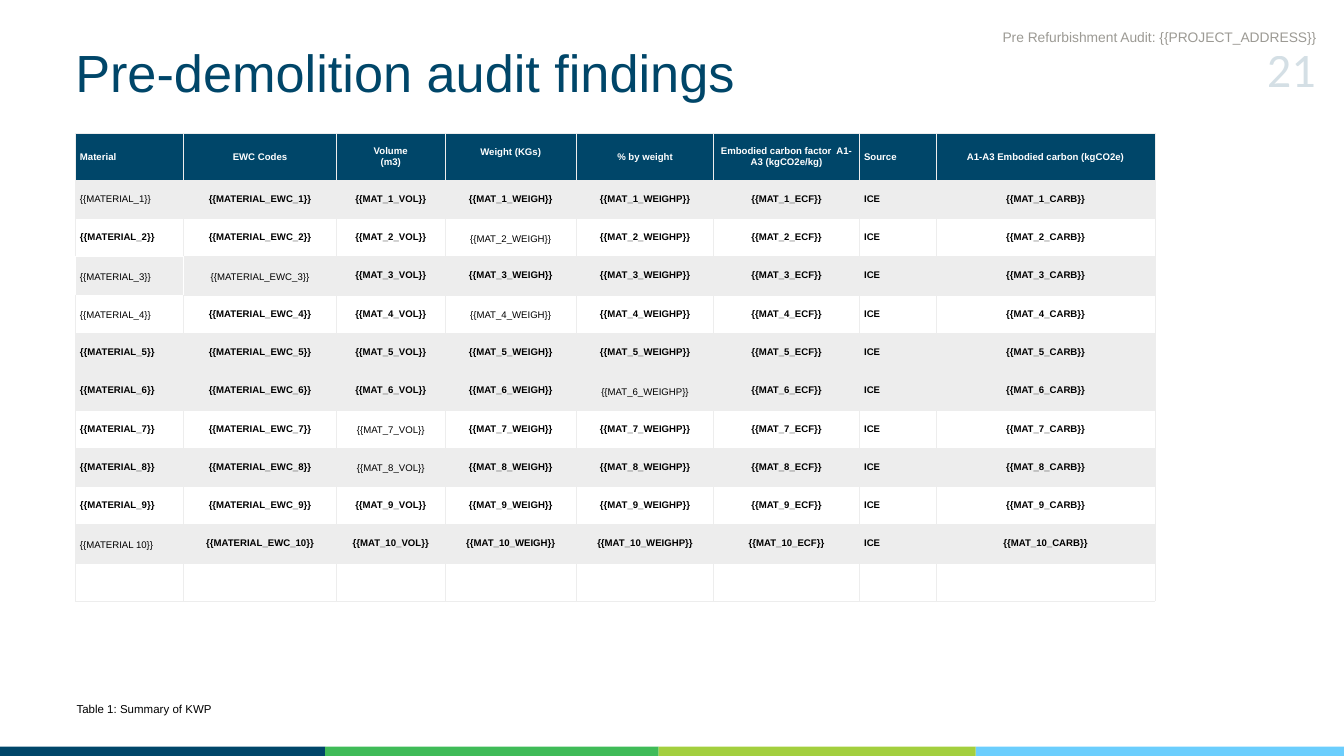
from dataclasses import dataclass

import pptx
import pptx.dml.color
import pptx.enum.shapes
import pptx.enum.text
import pptx.oxml
import pptx.oxml.ns
import pptx.shapes.shapetree
import pptx.slide
import pptx.table
import pptx.text.text
import pptx.util

Inches = pptx.util.Inches
Pt = pptx.util.Pt
RGBColor = pptx.dml.color.RGBColor
Align = pptx.enum.text.PP_ALIGN
Anchor = pptx.enum.text.MSO_ANCHOR

NAVY = RGBColor(0x00, 0x46, 0x69)
GREEN = RGBColor(0x3F, 0xBB, 0x58)
LIME = RGBColor(0xA3, 0xCF, 0x3E)
SKY = RGBColor(0x6B, 0xCE, 0xFD)
GREY = RGBColor(0x9C, 0x9A, 0x94)
PALE = RGBColor(0xED, 0xED, 0xED)
WHITE = RGBColor(0xFF, 0xFF, 0xFF)
BLACK = RGBColor(0x00, 0x00, 0x00)

MATERIAL_COUNT = 10
HEADER_HEIGHT = 0.69
ROW_HEIGHT = 0.57
CELL_INSET = 0.07
SHADED_ROWS = {0, 1, 3, 5, 6, 8, 10}
PLAIN_CELLS = {(1, 0), (2, 3), (3, 0), (3, 1), (4, 0), (4, 3), (6, 4), (7, 2), (8, 2), (10, 0)}
TIGHT_PLAIN_CELL = (1, 0)
WHITE_EDGED_CELL = (3, 0)
EDGES = {"lnL": (0, -1), "lnR": (0, 1), "lnT": (-1, 0), "lnB": (1, 0)}


@dataclass(frozen=True)
class Column:
    heading: str
    width: float
    entry: str
    align: Align = Align.CENTER
    heading_lift: float = 0


@dataclass(frozen=True)
class Label:
    text: str
    left: float
    top: float
    width: float
    height: float
    size: float
    spacing: float
    color: RGBColor
    align: Align
    font: str = "Arial"
    opacity: int = 100


@dataclass(frozen=True)
class Band:
    left: float
    right: float
    color: RGBColor


COLUMNS = [
    Column("Material", 1.61, "{{MATERIAL_#}}", Align.LEFT),
    Column("EWC Codes", 2.28, "{{MATERIAL_EWC_#}}"),
    Column("Volume\n(m3)", 1.61, "{{MAT_#_VOL}}"),
    Column("Weight (KGs)", 1.96, "{{MAT_#_WEIGH}}", heading_lift=0.15),
    Column("% by weight", 2.04, "{{MAT_#_WEIGHP}}"),
    Column("Embodied carbon factor  A1-A3 (kgCO2e/kg)", 2.17, "{{MAT_#_ECF}}"),
    Column("Source", 1.14, "ICE", Align.LEFT),
    Column("A1-A3 Embodied carbon (kgCO2e)", 3.26, "{{MAT_#_CARB}}"),
]

TITLE = Label("Pre-demolition audit findings", 1.12, 0.45, 11.13, 1.17,
              56, 78.4, NAVY, Align.LEFT)
LABELS = [
    Label("Table 1: Summary of KWP", 1.12, 10.41, 2.05, 0.25,
          12.3, 17.3, BLACK, Align.CENTER),
    Label("21", 18.41, 0.44, 1.17, 1.11,
          51.6, 72.3, NAVY, Align.RIGHT, "Calibri", 17),
    Label("Pre Refurbishment Audit: {{PROJECT_ADDRESS}}", 12.2, 0.39, 7.39, 0.3,
          14.8, 20.6, GREY, Align.RIGHT),
]
BANDS = [
    Band(14.52, 20, SKY),
    Band(-0.17, 4.84, NAVY),
    Band(4.84, 9.8, GREEN),
    Band(9.8, 14.52, LIME),
]


def write_text(frame: pptx.text.text.TextFrame, text: str, *, size: float, spacing: float,
               color: RGBColor, align: Align, font: str = "Arial", bold: bool = False,
               opacity: int = 100) -> None:
    frame.text = text
    frame.word_wrap = True
    for paragraph in frame.paragraphs:
        paragraph.alignment = align
        paragraph.line_spacing = Pt(spacing)
        paragraph.space_before = Pt(0)
        for run in paragraph.runs:
            run.font.name = font
            run.font.size = Pt(size)
            run.font.bold = bold
            run.font.color.rgb = color
            if opacity < 100:
                tint = run.font.fill._xPr.find(".//" + pptx.oxml.ns.qn("a:srgbClr"))
                tint.append(pptx.oxml.parse_xml(
                    f'<a:alpha {pptx.oxml.ns.nsdecls("a")} val="{opacity * 1000}"/>'))


def place_label(shape, label: Label) -> None:
    shape.left, shape.top = Inches(label.left), Inches(label.top)
    shape.width, shape.height = Inches(label.width), Inches(label.height)
    frame = shape.text_frame
    frame.margin_left = frame.margin_right = frame.margin_top = frame.margin_bottom = 0
    frame.vertical_anchor = Anchor.TOP
    frame.auto_size = pptx.enum.text.MSO_AUTO_SIZE.SHAPE_TO_FIT_TEXT
    write_text(frame, label.text, size=label.size, spacing=label.spacing, color=label.color,
               align=label.align, font=label.font, opacity=label.opacity)


def draw_borders(cell: pptx.table._Cell, row: int, column: int) -> None:
    properties = cell._tc.get_or_add_tcPr()
    for edge, (down, across) in EDGES.items():
        touching = {(row, column), (row + down, column + across)}
        color = WHITE if WHITE_EDGED_CELL in touching else PALE
        properties.append(pptx.oxml.parse_xml(
            f'<a:{edge} {pptx.oxml.ns.nsdecls("a")} w="{Pt(0.64)}"><a:solidFill>'
            f'<a:srgbClr val="{color}"/></a:solidFill></a:{edge}>'))


def fill_cell(cell: pptx.table._Cell, row: int, index: int, column: Column) -> None:
    heading = row == 0
    draw_borders(cell, row, index)
    cell.fill.solid()
    cell.fill.fore_color.rgb = NAVY if heading else PALE if row in SHADED_ROWS else WHITE
    cell.vertical_anchor = Anchor.MIDDLE
    cell.margin_left = cell.margin_right = cell.margin_top = Inches(CELL_INSET)
    cell.margin_bottom = Inches(CELL_INSET + (column.heading_lift if heading else 0))
    if row > MATERIAL_COUNT:
        return
    entry = column.heading if heading else column.entry.replace("#", str(row))
    if (row, index) == (MATERIAL_COUNT, 0):
        entry = "{{MATERIAL 10}}"
    plain = (row, index) in PLAIN_CELLS
    loose = plain and (row, index) != TIGHT_PLAIN_CELL
    write_text(cell.text_frame, entry, size=10.3, spacing=14.4 if loose else 11.1,
               color=WHITE if heading else BLACK, align=column.align, bold=not plain)


def draw_findings(slide: pptx.slide.Slide) -> None:
    row_count = MATERIAL_COUNT + 2
    findings = slide.shapes.add_table(
        row_count, len(COLUMNS), Inches(1.12), Inches(1.99),
        Inches(sum(column.width for column in COLUMNS)),
        Inches(HEADER_HEIGHT + ROW_HEIGHT * (row_count - 1))).table
    findings.first_row = findings.horz_banding = False
    for row in range(row_count):
        findings.rows[row].height = Inches(ROW_HEIGHT if row else HEADER_HEIGHT)
    for index, column in enumerate(COLUMNS):
        findings.columns[index].width = Inches(column.width)
        for row in range(row_count):
            fill_cell(findings.cell(row, index), row, index, column)


def draw_band(footer: pptx.shapes.shapetree.GroupShapes, band: Band) -> None:
    strip = footer.add_shape(pptx.enum.shapes.MSO_SHAPE.RECTANGLE, Inches(band.left),
                             Inches(11.11), Inches(band.right - band.left), Inches(0.29))
    strip.shadow.inherit = False
    strip.fill.solid()
    strip.fill.fore_color.rgb = band.color
    strip.line.fill.background()


def main() -> None:
    deck = pptx.Presentation()
    deck.slide_width, deck.slide_height = Inches(20), Inches(11.25)
    slide = deck.slides.add_slide(deck.slide_layouts[5])
    slide.background.fill.solid()
    slide.background.fill.fore_color.rgb = WHITE
    place_label(slide.shapes.title, TITLE)
    for label in LABELS:
        place_label(slide.shapes.add_textbox(0, 0, 0, 0), label)
    draw_findings(slide)
    footer = slide.shapes.add_group_shape()
    for band in BANDS:
        draw_band(footer.shapes, band)
    deck.save("out.pptx")


if __name__ == "__main__":
    main()
